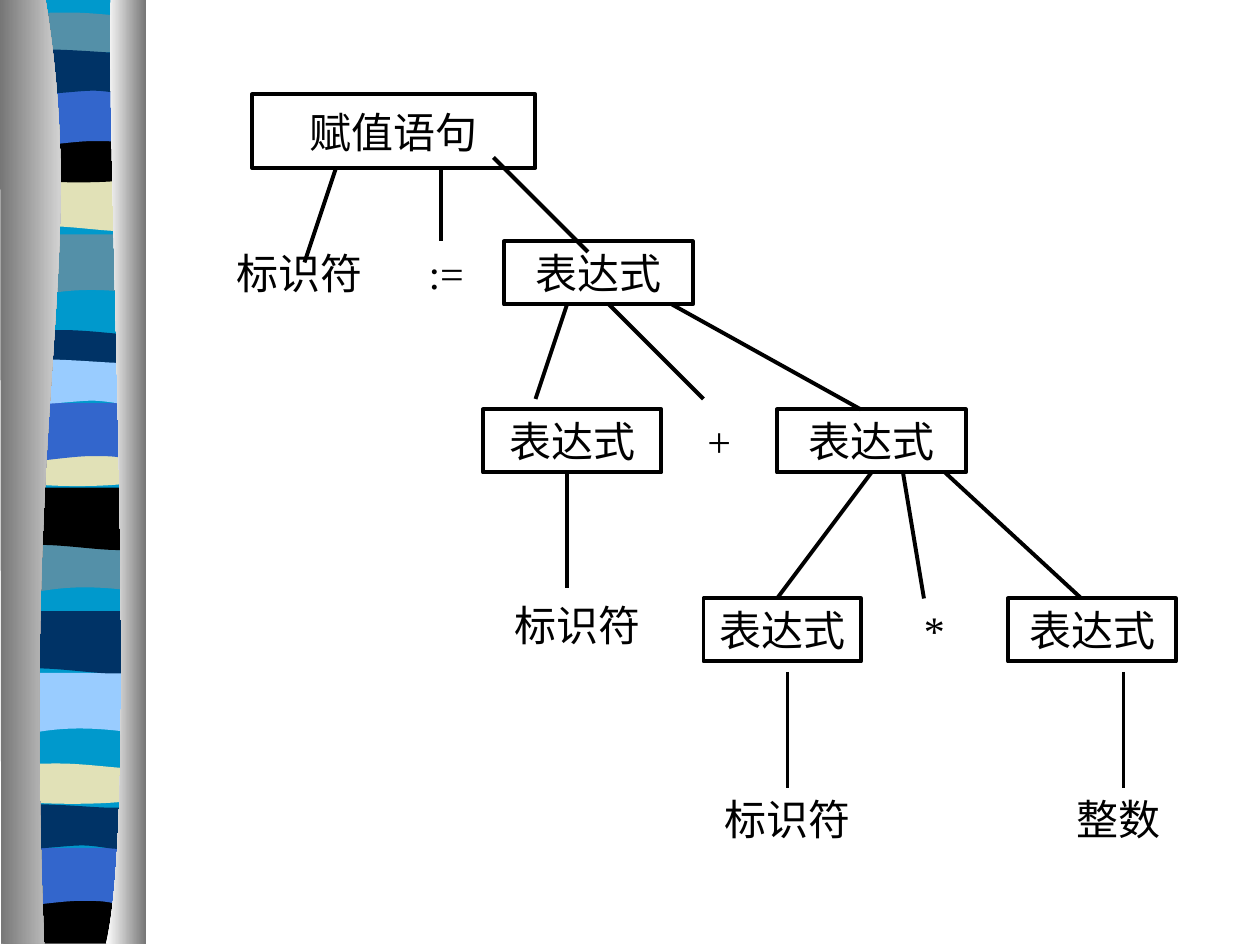
from pptx import Presentation
from pptx.dml.color import RGBColor
from pptx.enum.shapes import MSO_CONNECTOR, MSO_SHAPE
from pptx.enum.text import MSO_ANCHOR, PP_ALIGN
from pptx.oxml.ns import qn
from pptx.util import Cm, Pt
from lxml import etree

RECTANGLE = MSO_SHAPE.RECTANGLE
STRAIGHT = MSO_CONNECTOR.STRAIGHT
CENTER = PP_ALIGN.CENTER
MIDDLE = MSO_ANCHOR.MIDDLE
TOP_SIDE, BOTTOM_SIDE = 0, 2

BLACK = RGBColor(0x00, 0x00, 0x00)
WHITE = RGBColor(0xFF, 0xFF, 0xFF)
GRAY = RGBColor(0x76, 0x76, 0x76)
CYAN = RGBColor(0x00, 0x99, 0xCC)
STEEL = RGBColor(0x54, 0x90, 0xA8)
SAND = RGBColor(0xE1, 0xE1, 0xB7)
BLUE = RGBColor(0x33, 0x66, 0xCC)
NAVY = RGBColor(0x00, 0x33, 0x66)
SKY = RGBColor(0x99, 0xCC, 0xFF)

FONT = "Times New Roman"
GRID = Cm(2.54 / 12)  # tree unit: a twelfth of an inch
FINE = Cm(2.54 / 100)  # ribbon unit: a hundredth of an inch

# Band outlines from the top left corner: a pair is a line's end,
# six numbers are a cubic curve's two controls and end.
SWELL = [(0, 0), (97, 0), (97, 47), (30, 38, 16, 54, 0, 47)]
RIPPLE = [(0, 0), (97, 0), (97, 47), (81, 55, 30, 41, 0, 47)]
LENS = [(0, 4), (7, 0, 21, 0, 38, 0), (58, 0, 85, 4, 97, 4),
        (97, 29), (81, 33, 16, 33, 0, 29)]
DIP = [(0, 0), (60, 5, 77, 0, 97, 0), (97, 33), (81, 38, 16, 38, 0, 33)]
FLAT_DIP = [(0, 0), (59, 5, 76, 0, 97, 0), (97, 37), (1, 37)]
ARCH = [(0, 0), (97, 0), (97, 47), (82, 42, 76, 42, 60, 42),
        (44, 42, 15, 47, 0, 47)]
FLAG = [(0, 6), (14, 0, 66, 6, 82, 6), (98, 6, 94, 6, 97, 6), (97, 36),
        (91, 42, 76, 36, 60, 36), (44, 36, 10, 42, 0, 36)]
BACKDROP = [(0, 0), (97, 0), (97, 747), (0, 747)]
LEFT_CURTAIN = [(0, 0), (36, 0), (71, 217, 17, 297, 35, 750), (1, 750)]
RIGHT_CURTAIN = [(88, 0), (84, 126, 111, 647, 84, 750), (116, 750), (116, 1)]

# Outline, left, top, colour
BANDS = [
    (BACKDROP, 14, -1, CYAN),
    (SWELL, 14, 186, STEEL), (RIPPLE, 18, 134, SAND), (LENS, 18, 10, STEEL),
    (DIP, 14, 108, BLACK), (ARCH, 14, 70, BLUE), (FLAG, 14, 36, NAVY),
    (SWELL, 9, 422, STEEL), (RIPPLE, 13, 387, BLACK), (LENS, 13, 262, NAVY),
    (DIP, 13, 349, SAND), (ARCH, 13, 320, BLUE), (FLAG, 13, 282, SKY),
    (SWELL, 5, 534, SKY), (RIPPLE, 10, 485, NAVY), (LENS, 9, 606, SAND),
    (FLAT_DIP, 9, 712, BLACK), (ARCH, 4, 673, BLUE), (FLAG, 5, 635, NAVY),
]

# Name, text, left, top, width, height, border
NODES = [
    ("statement", "赋值语句", 24, 9, 27, 7, BLACK),
    ("target", "标识符", 20, 23, 17, 6, WHITE),
    ("value", "表达式", 48, 23, 18, 6, BLACK),
    ("addend", "表达式", 46, 39, 17, 6, BLACK),
    ("plus", "+", 65, 39, 7, 6, WHITE),
    ("factor", "表达式", 67, 57, 15, 6, BLACK),
    ("second factor", "表达式", 96, 57, 16, 6, BLACK),
    ("factor name", "标识符", 67, 75, 16, 6, WHITE),
    ("integer", "整数", 99, 75, 15, 6, WHITE),
    ("addend name", "标识符", 47, 56, 16, 7, WHITE),
    ("assign", ":=", 39, 23, 7, 6, WHITE),
    ("product", "表达式", 74, 39, 18, 6, BLACK),
    ("times", "*", 86, 57, 6, 6, WHITE),
]

# Start x, y, end x, y, line width, node joined at start, node joined at end
BRANCHES = [
    (54, 45, 54, 56, 2.25, None, None),
    (75, 64, 75, 75, 2.25, None, "factor name"),
    (107, 64, 107, 75, 2.25, None, None),
    (42, 16, 42, 23, 2.25, None, None),
    (54, 29, 51, 38, 2.25, None, None),
    (58, 29, 67, 38, 2.25, None, None),
    (64, 29, 82, 39, 2.25, None, None),
    (83, 45, 74, 57, 2.25, "product", None),
    (86, 45, 88, 57, 2.25, None, None),
    (90, 45, 103, 57, 2.25, None, None),
    (31, 19, 31, 19, 0.75, None, None),
    (47, 15, 56, 24, 2.25, None, None),
    (32, 16, 29, 25, 2.25, None, None),
]


def add_outline(page, outline, left, top):
    """Draw all points as lines, then merge each curve's three into one."""
    points = [((left + part[i]) * FINE, (top + part[i + 1]) * FINE)
              for part in outline for i in range(0, len(part), 2)]
    builder = page.shapes.build_freeform(*points[0], scale=1.0)
    builder.add_line_segments(points[1:], close=True)
    shape = builder.convert_to_shape()
    lines = iter(list(shape._element.iter(qn("a:lnTo"))))
    for part in outline[1:]:
        first = next(lines)
        if len(part) == 6:
            first.tag = qn("a:cubicBezTo")
            for _ in range(2):
                line = next(lines)
                first.append(line[0])
                line.getparent().remove(line)
    shape.shadow.inherit = False
    shape.line.fill.background()
    return shape


def add_band(page, outline, left, top, color):
    band = add_outline(page, outline, left, top)
    band.fill.solid()
    band.fill.fore_color.rgb = color


def add_curtain(page, outline, colors):
    fill = add_outline(page, outline, 0, -1).fill
    fill.gradient()
    fill.gradient_angle = 0
    for stop, color in zip(fill.gradient_stops, colors):
        stop.color.rgb = color


def add_node(page, text, left, top, width, height, border):
    box = page.shapes.add_shape(
        RECTANGLE, *(n * GRID for n in (left, top, width, height)))
    box.shadow.inherit = False
    box.fill.solid()
    box.fill.fore_color.rgb = WHITE
    box.line.color.rgb = border
    box.line.width = Pt(2.25)
    frame = box.text_frame
    frame.word_wrap = False
    frame.vertical_anchor = MIDDLE
    para = frame.paragraphs[0]
    para.text = text
    para.alignment = CENTER
    para.font.name = FONT
    para.font.size = Pt(24)
    para.font.color.rgb = BLACK
    return box


def add_branch(page, ends, width, parent, child):
    branch = page.shapes.add_connector(STRAIGHT, *(n * GRID for n in ends))
    branch.line.color.rgb = BLACK
    branch.line.width = Pt(width)
    etree.SubElement(branch._element.spPr, qn("a:effectLst"))
    if parent is not None:
        branch.begin_connect(parent, BOTTOM_SIDE)
    if child is not None:
        branch.end_connect(child, TOP_SIDE)


def main():
    deck = Presentation()
    deck.slide_width, deck.slide_height = Cm(25.4), Cm(19.05)
    page = deck.slides.add_slide(deck.slide_layouts[6])

    # Ribbon down the left edge
    for band in BANDS:
        add_band(page, *band)
    add_curtain(page, LEFT_CURTAIN, (GRAY, WHITE))
    add_curtain(page, RIGHT_CURTAIN, (WHITE, GRAY))

    # Syntax tree
    boxes = {name: add_node(page, *node) for name, *node in NODES}
    for *ends, width, parent, child in BRANCHES:
        add_branch(page, ends, width, boxes.get(parent), boxes.get(child))

    deck.save("out.pptx")


if __name__ == "__main__":
    main()
